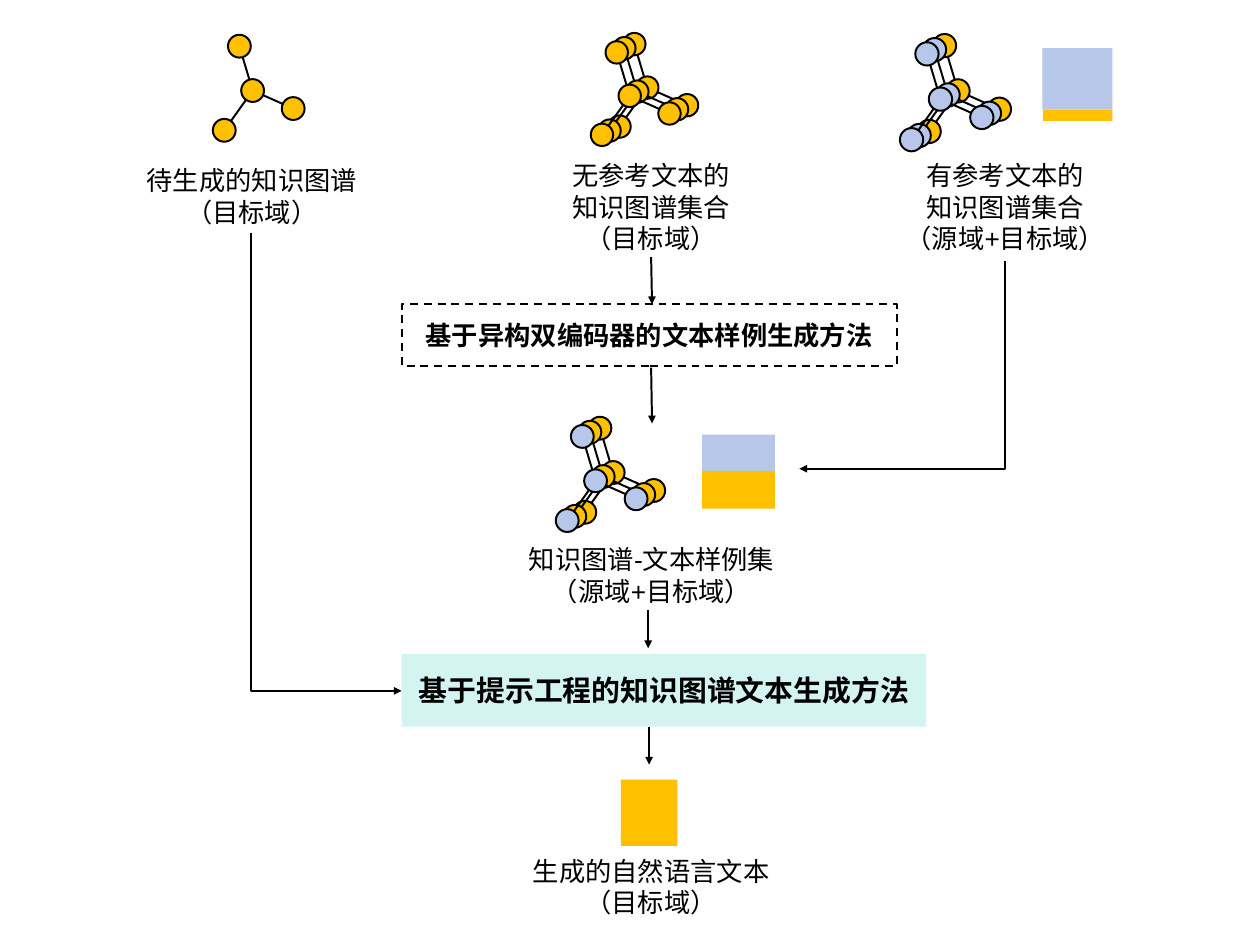
"""Draw the flow from knowledge graphs to generated text."""
from math import hypot

from lxml import etree
from pptx import Presentation
from pptx import util as u
from pptx.dml.color import RGBColor
from pptx.enum import dml, shapes, text
from pptx.oxml import ns

COLORS = {"target": "FFC000", "source": "B6C7EA", "method": "D4F4F2", "ink": "000000"}
LINE_WIDTH = 1.5
NODE = 17.4
HUB = (10.1, 33.8)
LEAVES = [(0, 0), (-11.5, 64.1), (41, 47.5)]
LAYER_OFFSETS = [(0, 0), (-7.6, 3.1), (-13.4, 6.3)]


def color(name):
    """Return the named colour."""
    return RGBColor.from_string(COLORS[name])


def outline(line):
    """Give a line the common ink and width."""
    line.color.rgb = color("ink")
    line.width = u.Pt(LINE_WIDTH)


def write(frame, lines, size=20, bold=False):
    """Write centred lines in a text frame."""
    frame.word_wrap = True
    style = {"name": "Arial", "size": u.Pt(size), "bold": bold}
    for i, words in enumerate(lines):
        paragraph = frame.paragraphs[0] if i == 0 else frame.add_paragraph()
        paragraph.alignment = text.PP_ALIGN.CENTER
        run = paragraph.add_run()
        run.text = words
        for key, value in style.items():
            setattr(run.font, key, value)
        run.font.color.rgb = color("ink")


def label(slide, box, *lines):
    """Add a caption."""
    caption = slide.shapes.add_textbox(*map(u.Pt, box))
    write(caption.text_frame, lines)


def block(parent, box, fill=None, kind=shapes.MSO_SHAPE.RECTANGLE):
    """Add a flat shape without an outline."""
    area = parent.add_shape(kind, *map(u.Pt, box))
    area.shadow.inherit = False
    if fill:
        area.fill.solid()
        area.fill.fore_color.rgb = color(fill)
    else:
        area.fill.background()
    area.line.fill.background()
    return area


def method(slide, box, name, size, fill=None):
    """Add a method box, dashed when it has no fill."""
    step = block(slide.shapes, box, fill)
    if not fill:
        outline(step.line)
        step.line.dash_style = dml.MSO_LINE.DASH
    step.text_frame.vertical_anchor = text.MSO_ANCHOR.MIDDLE
    write(step.text_frame, [name], size, True)


def link(parent, start, end, kind=shapes.MSO_CONNECTOR.STRAIGHT):
    """Add a plain connector."""
    edge = parent.add_connector(kind, *map(u.Pt, (*start, *end)))
    outline(edge.line)
    etree.SubElement(edge._element.spPr, ns.qn("a:effectLst"))
    return edge


def add_head(edge):
    """Put an arrowhead at the end of a connector."""
    etree.SubElement(edge.line._get_or_add_ln(), ns.qn("a:tailEnd"), type="triangle")


def arrow(slide, start, end):
    """Add a straight arrow."""
    add_head(link(slide.shapes, start, end))


def bent_arrow(slide, start, end):
    """Add an arrow that runs down and then sideways."""
    (x1, y1), (x2, y2) = start, end
    mid_x, mid_y = (x1 + x2) / 2, (y1 + y2) / 2
    half_drop, half_run = (y2 - y1) / 2, (x2 - x1) / 2
    edge = link(slide.shapes, (mid_x - half_drop, mid_y + half_run),
                (mid_x + half_drop, mid_y - half_run), shapes.MSO_CONNECTOR.ELBOW)
    properties = edge._element.spPr
    properties.find(ns.qn("a:xfrm")).set("rot", "5400000")
    properties.find(ns.qn("a:prstGeom")).set("prst", "bentConnector2")
    add_head(edge)


def graph(slide, left, top, fills, scale=1):
    """Stack one four-node graph per fill, from back to front."""
    size = NODE * scale
    radius = size / 2
    for (dx, dy), fill in zip(LAYER_OFFSETS, fills):
        layer = slide.shapes.add_group_shape().shapes
        hub, *leaves = [(left + dx + x * scale, top + dy + y * scale)
                        for x, y in [HUB, *LEAVES]]
        for x, y in [leaves[0], hub, *leaves[1:]]:
            node = block(layer, (x, y, size, size), fill, shapes.MSO_SHAPE.OVAL)
            outline(node.line)
        hub_x, hub_y = hub[0] + radius, hub[1] + radius
        for x, y in leaves:
            run, drop = x + radius - hub_x, y + radius - hub_y
            near = radius / hypot(run, drop)
            far = 1 - near
            link(layer, (hub_x + run * far, hub_y + drop * far),
                 (hub_x + run * near, hub_y + drop * near))


def main():
    """Build and save the slide."""
    deck = Presentation()
    deck.slide_width, deck.slide_height = u.Pt(960), u.Pt(721.44)
    slide = deck.slides.add_slide(deck.slide_layouts[6])

    for box, fill in [
        ((473, 594, 43.2, 50.4), "target"),
        ((535, 331.2, 55.4, 28), "source"),
        ((535, 358.8, 55.4, 28.8), "target"),
        ((794.9, 83.5, 52.6, 8.6), "target"),
        ((794.2, 36.7, 53.3, 46.8), "source"),
    ]:
        block(slide.shapes, box, fill)

    graph(slide, 173.7, 26.5, ["target"])
    graph(slide, 474.8, 25.1, ["target"] * 3, 0.98)
    graph(slide, 710.8, 25.9, ["target", "source", "source"], 1.02)
    graph(slide, 448.4, 317.5, ["target", "target", "source"])

    label(slide, (103, 121.7, 177.8, 55.4), "待生成的知识图谱（目标域）")
    label(slide, (428.4, 118.1, 135.4, 80), "无参考文本的", "知识图谱集合", "（目标域）")
    label(slide, (676, 118.1, 180, 80), "有参考文本的", "知识图谱集合", "（源域+目标域）")
    label(slide, (384.5, 410.4, 224, 55.4), "知识图谱-文本样例集", "（源域+目标域）")
    label(slide, (393.1, 648, 206, 55.4), "生成的自然语言文本", "（目标域）")

    bent_arrow(slide, (766.1, 198.7), (609.1, 357.1))
    bent_arrow(slide, (191.5, 177.1), (306, 526.3))
    for start, end in [
        ((496.1, 195.8), (496.8, 231.8)),
        ((496.1, 280.1), (496.8, 322.6)),
        ((493.9, 464.4), (493.9, 493.9)),
        ((494.6, 553.7), (494.6, 582.5)),
    ]:
        arrow(slide, start, end)

    method(slide, (306, 231.8, 377.3, 46.8), "基于异构双编码器的文本样例生成方法", 20)
    method(slide, (306, 498.2, 399.6, 55.4), "基于提示工程的知识图谱文本生成方法", 22, "method")
    deck.save("out.pptx")


if __name__ == "__main__":
    main()
